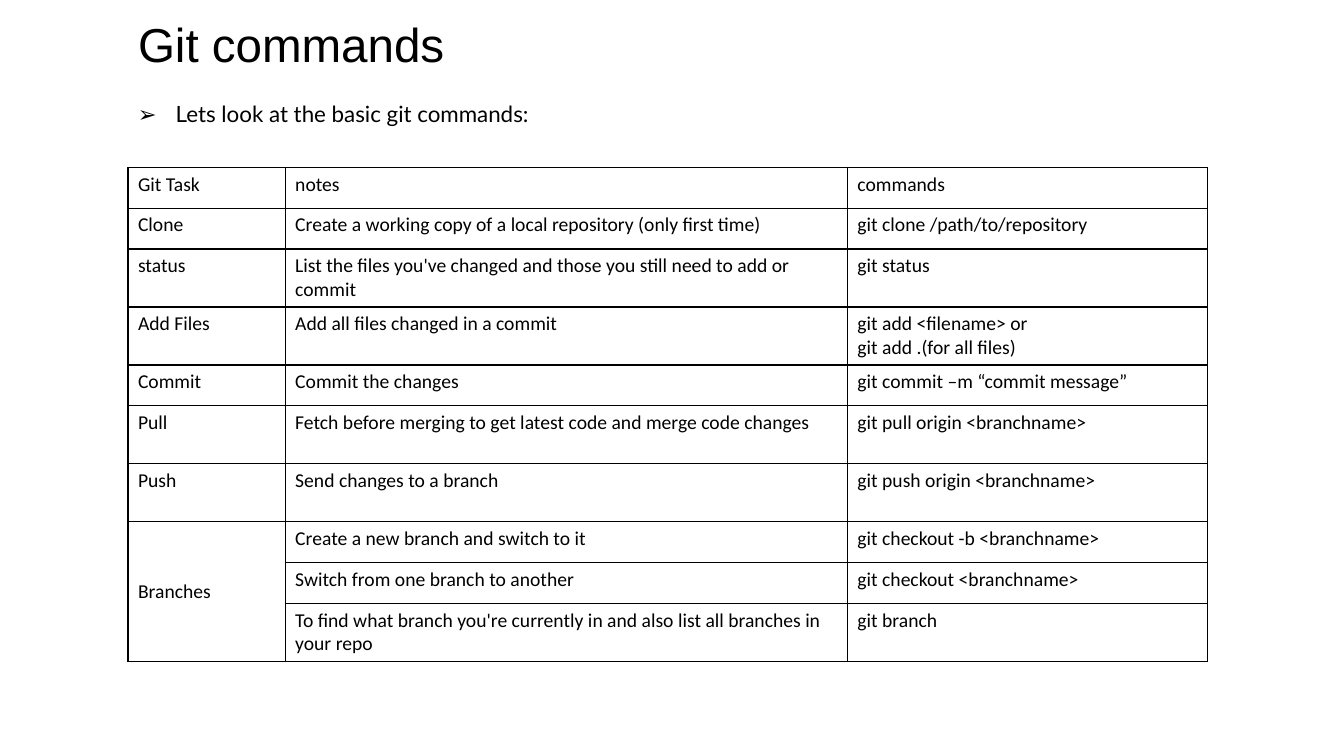
from dataclasses import dataclass

from lxml.etree import SubElement
from pptx import Presentation
from pptx.dml.color import RGBColor
from pptx.enum.text import MSO_ANCHOR, MSO_AUTO_SIZE, PP_ALIGN
from pptx.oxml import parse_xml
from pptx.oxml.ns import nsdecls, qn
from pptx.util import Pt


@dataclass(frozen=True)
class Theme:
    ink: str = "000000"
    title_font: str = "Arial"
    intro_font: str = "Lato"
    table_font: str = "Calibri"
    title_size: float = 34
    intro_size: float = 16
    table_size: float = 14
    border: float = 1


THEME = Theme()
COLUMN_WIDTHS = (112.3, 401.6, 257)
SHORT_ROW, TALL_ROW = 29.2, 41.4
TALL_TASKS = {"status", "Add Files", "Pull", "Push"}
BRANCH_ROWS = 3

COMMANDS = [
    ("Git Task", "notes", "commands"),
    ("Clone", "Create a working copy of a local repository (only first time)",
     "git clone /path/to/repository"),
    ("status", "List the files you've changed and those you still need to add or commit",
     "git status"),
    ("Add Files", "Add all files changed in a commit",
     "git add <filename> or\ngit add .(for all files)"),
    ("Commit", "Commit the changes", "git commit –m “commit message”"),
    ("Pull", "Fetch before merging to get latest code and merge code changes",
     "git pull origin <branchname>"),
    ("Push", "Send changes to a branch", "git push origin <branchname>"),
    ("Branches", "Create a new branch and switch to it", "git checkout -b <branchname>"),
    ("", "Switch from one branch to another", "git checkout <branchname>"),
    ("", "To find what branch you're currently in and also list all branches in your repo",
     "git branch"),
]


def style(paragraph, font, size):
    for run in paragraph.runs:
        run.font.name = font
        run.font.size = Pt(size)
        run.font.color.rgb = RGBColor.from_string(THEME.ink)


def add_title(slide, left, top, width, height):
    title = slide.shapes.title
    title.left, title.top, title.width, title.height = map(Pt, (left, top, width, height))
    frame = title.text_frame
    frame.text = "Git commands"
    frame.auto_size = MSO_AUTO_SIZE.NONE
    frame.vertical_anchor = MSO_ANCHOR.TOP
    heading = frame.paragraphs[0]
    heading.alignment = PP_ALIGN.LEFT
    heading.line_spacing = 0.9
    style(heading, THEME.title_font, THEME.title_size)


def add_intro(slide, left, top, width, height):
    frame = slide.shapes.add_textbox(*map(Pt, (left, top, width, height))).text_frame
    frame.word_wrap = True
    frame.text = "Lets look at the basic git commands:"
    intro = frame.paragraphs[0]
    intro.line_spacing = 0.9
    # Hanging arrow bullet
    properties = intro._p.get_or_add_pPr()
    properties.set("marL", str(Pt(27)))
    properties.set("indent", str(Pt(-27)))
    SubElement(properties, qn("a:buFont"), typeface="Arial")
    SubElement(properties, qn("a:buChar"), char="➢")
    style(intro, THEME.intro_font, THEME.intro_size)


def add_borders(cell):
    properties = cell._tc.get_or_add_tcPr()
    for position, side in enumerate(("lnL", "lnR", "lnT", "lnB")):
        properties.insert(position, parse_xml(
            f'<a:{side} {nsdecls("a")} w="{Pt(THEME.border)}"><a:solidFill>'
            f'<a:srgbClr val="{THEME.ink}"/></a:solidFill></a:{side}>'))


def add_command_table(slide, left, top):
    heights = [TALL_ROW if task in TALL_TASKS else SHORT_ROW for task, _, _ in COMMANDS]
    heights[-1] = TALL_ROW
    table = slide.shapes.add_table(
        len(COMMANDS), len(COLUMN_WIDTHS), Pt(left), Pt(top),
        Pt(sum(COLUMN_WIDTHS)), Pt(sum(heights))).table
    table.first_row = table.horz_banding = False
    for column, width in zip(table.columns, COLUMN_WIDTHS):
        column.width = Pt(width)
    for row, height, entries in zip(table.rows, heights, COMMANDS):
        row.height = Pt(height)
        for cell, entry in zip(row.cells, entries):
            cell.text_frame.text = entry
            cell.fill.background()
            add_borders(cell)
            for paragraph in cell.text_frame.paragraphs:
                style(paragraph, THEME.table_font, THEME.table_size)
    # One task cell spans all branch commands
    last = len(COMMANDS) - 1
    branches = table.cell(last - BRANCH_ROWS + 1, 0)
    branches.merge(table.cell(last, 0))
    branches.vertical_anchor = MSO_ANCHOR.MIDDLE


def build_commands_slide(presentation, left):
    slide = presentation.slides.add_slide(presentation.slide_layouts[5])
    add_title(slide, left, 11.5, 366.5, 59)
    add_intro(slide, left, 70.5, 790.5, 34.5)
    add_command_table(slide, left, 119.5)


def main():
    presentation = Presentation()
    presentation.slide_width, presentation.slide_height = Pt(960), Pt(540)
    build_commands_slide(presentation, left=91.4)
    presentation.save("out.pptx")


if __name__ == "__main__":
    main()
